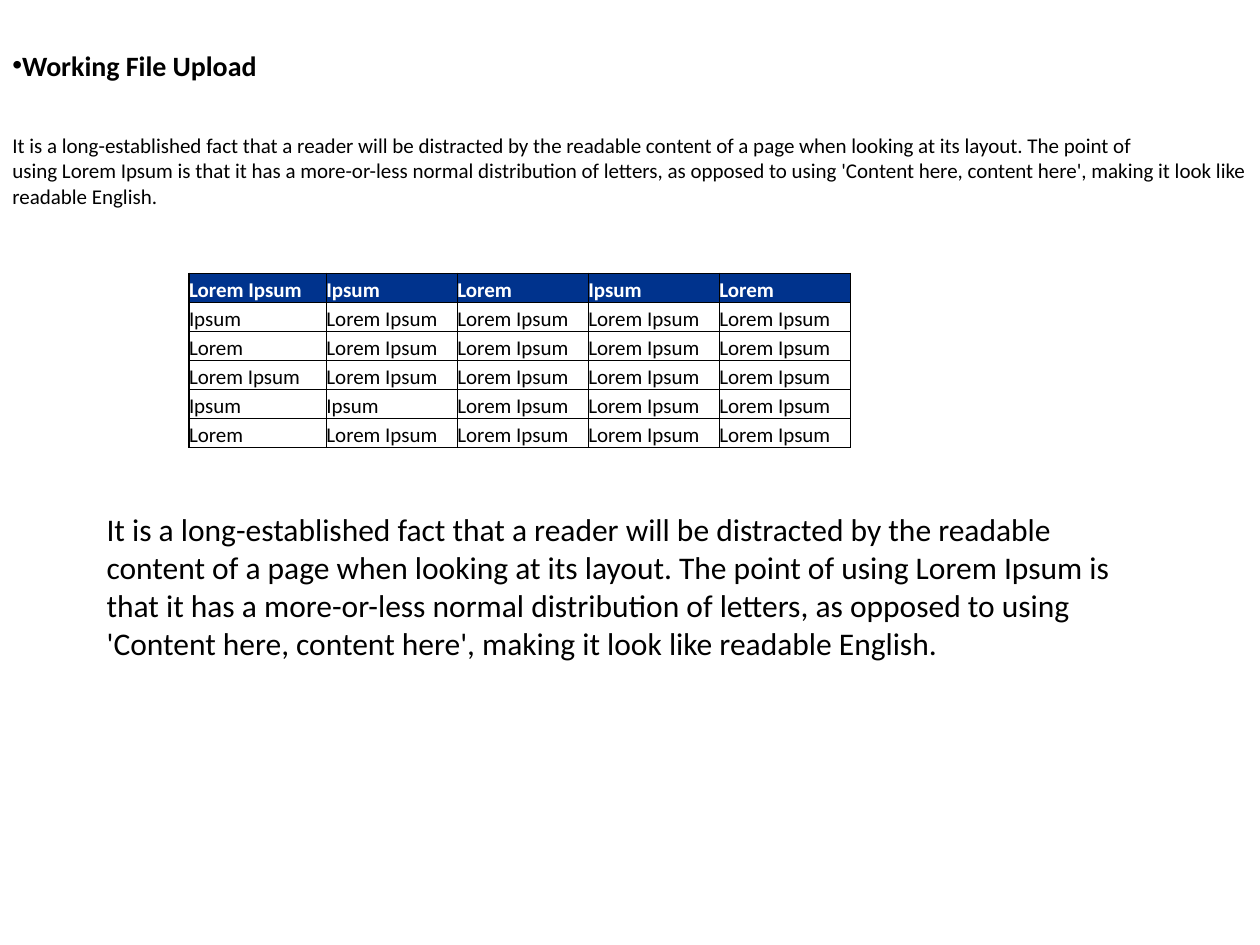
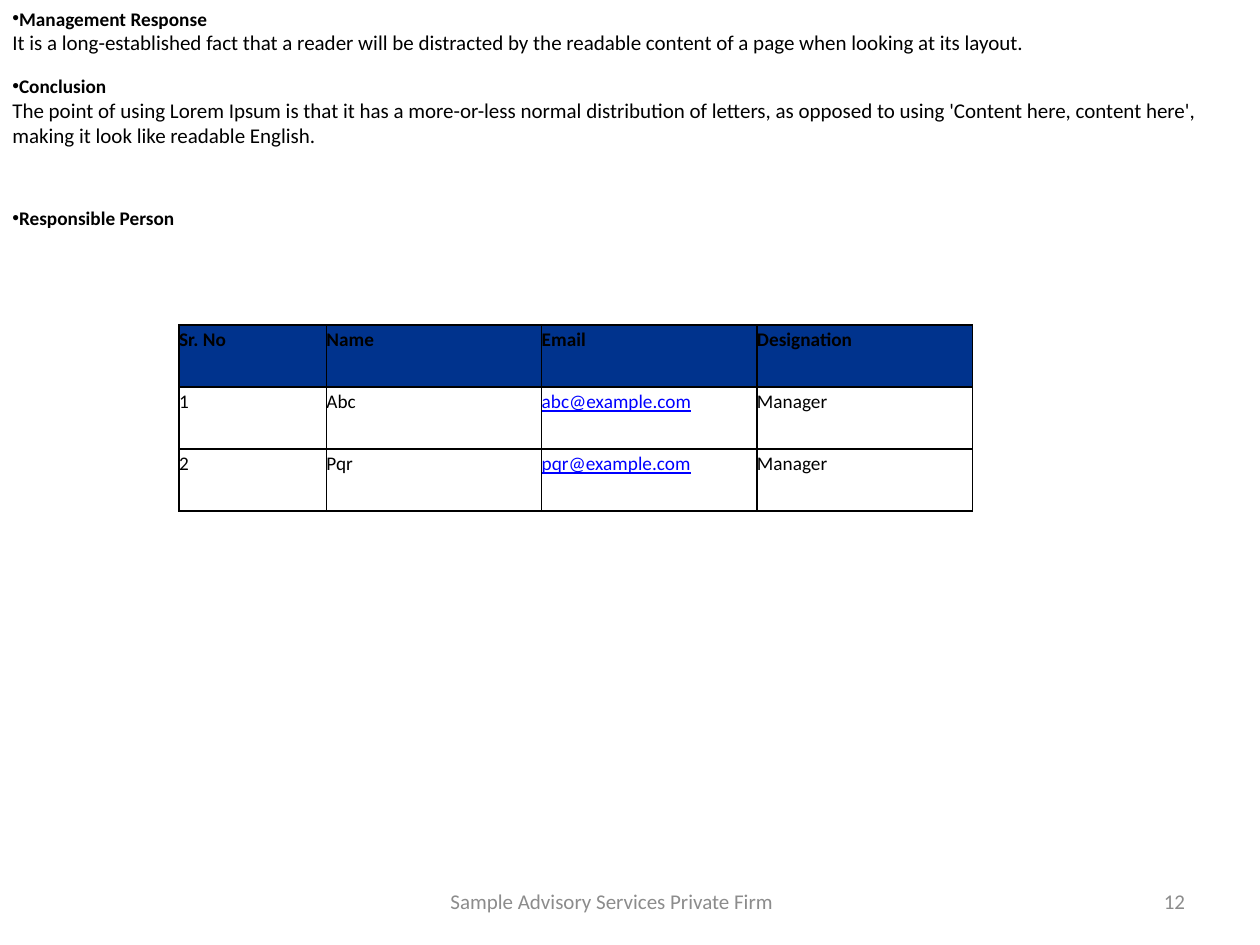
from dataclasses import dataclass

from lxml import etree
from pptx import Presentation
from pptx.dml.color import RGBColor
from pptx.enum.text import MSO_ANCHOR, PP_ALIGN
from pptx.oxml.ns import qn
from pptx.slide import Slide
from pptx.util import Cm, Pt

TOP, MIDDLE = MSO_ANCHOR.TOP, MSO_ANCHOR.MIDDLE
LEFT, CENTER, RIGHT = PP_ALIGN.LEFT, PP_ALIGN.CENTER, PP_ALIGN.RIGHT


@dataclass(frozen=True)
class Theme:
    font: str = "Calibri"
    bullet_font: str = "Arial"
    ink: str = "000000"
    header_fill: str = "00338D"
    header_ink: str = "FFFFFF"
    link: str = "0000FF"
    footer: str = "8C8C8C"
    title_size: int = 16
    large_size: int = 18
    body_size: int = 12
    heading_size: int = 11
    section_gap: int = 11
    cell_spacing: float = 1.15
    border_width: int = 1


THEME = Theme()


@dataclass(frozen=True)
class Line:
    """One paragraph with a single style."""
    text: str
    size: int = THEME.body_size
    bold: bool = False
    color: str = THEME.ink
    underline: bool = False
    bullet: bool = False
    align: PP_ALIGN = LEFT
    gap_before: int = 0


@dataclass(frozen=True)
class Block:
    """A text box; lengths in centimetres."""
    left: float
    top: float
    width: float
    height: float
    lines: tuple[Line, ...]
    anchor: MSO_ANCHOR = MIDDLE
    side_margins: tuple[float, float] = (0.25, 0.25)


@dataclass(frozen=True)
class Grid:
    """A bordered table with a filled header row; lengths in centimetres."""
    left: float
    top: float
    columns: tuple[float, ...]
    row_height: float
    rows: tuple[tuple[str, ...], ...]
    size: int
    header_ink: str


def apply(target: object, values: dict[str, object]) -> None:
    for name, value in values.items():
        setattr(target, name, value)


def write_line(paragraph, line: Line) -> None:
    apply(paragraph, {"alignment": line.align, "space_before": Pt(line.gap_before)})
    run = paragraph.add_run()
    run.text = line.text
    apply(run.font, {"name": THEME.font, "size": Pt(line.size),
                     "bold": line.bold, "underline": line.underline})
    run.font.color.rgb = RGBColor.from_string(line.color)
    if line.bullet:
        properties = paragraph._p.get_or_add_pPr()
        etree.SubElement(properties, qn("a:buFont"), typeface=THEME.bullet_font)
        etree.SubElement(properties, qn("a:buChar"), char="•")


def draw_block(slide: Slide, block: Block) -> None:
    box = slide.shapes.add_textbox(Cm(block.left), Cm(block.top),
                                   Cm(block.width), Cm(block.height))
    frame = box.text_frame
    margin_left, margin_right = block.side_margins
    apply(frame, {"word_wrap": True, "vertical_anchor": block.anchor,
                  "margin_left": Cm(margin_left), "margin_right": Cm(margin_right)})
    for index, line in enumerate(block.lines):
        write_line(frame.add_paragraph() if index else frame.paragraphs[0], line)


def draw_borders(cell) -> None:
    properties = cell._tc.get_or_add_tcPr()
    for position, side in enumerate(("a:lnL", "a:lnR", "a:lnT", "a:lnB")):
        border = etree.Element(qn(side), w=str(Pt(THEME.border_width)))
        fill = etree.SubElement(border, qn("a:solidFill"))
        etree.SubElement(fill, qn("a:srgbClr"), val=THEME.ink)
        properties.insert(position, border)


def draw_grid(slide: Slide, grid: Grid) -> None:
    table = slide.shapes.add_table(
        len(grid.rows), len(grid.columns), Cm(grid.left), Cm(grid.top),
        Cm(sum(grid.columns)), Cm(grid.row_height * len(grid.rows))).table
    table.horz_banding = False
    for column, width in zip(table.columns, grid.columns):
        column.width = Cm(width)
    for row_index, (row, texts) in enumerate(zip(table.rows, grid.rows)):
        row.height = Cm(grid.row_height)
        is_header = row_index == 0
        for cell, text in zip(row.cells, texts):
            apply(cell, {f"margin_{side}": 0 for side in ("left", "right", "top", "bottom")})
            if is_header:
                cell.fill.solid()
                cell.fill.fore_color.rgb = RGBColor.from_string(THEME.header_fill)
            else:
                cell.fill.background()
            is_email = "@" in text
            color = grid.header_ink if is_header else THEME.link if is_email else THEME.ink
            paragraph = cell.text_frame.paragraphs[0]
            paragraph.line_spacing = THEME.cell_spacing
            write_line(paragraph, Line(text, grid.size, is_header, color, is_email))
            draw_borders(cell)


def heading(text: str, size: int = THEME.heading_size, gap_before: int = 0) -> Line:
    return Line(text, size, bold=True, bullet=True, gap_before=gap_before)


def draw_footer(slide: Slide, owner: str, number: str) -> None:
    top, height = 17.65, 1.02
    for left, width, text, align, margins in (
            (8.69, 8.05, owner, CENTER, (0, 0.76)),
            (18.21, 5.93, number, RIGHT, (0.25, 0.25))):
        line = Line(text, color=THEME.footer, align=align)
        draw_block(slide, Block(left, top, width, height, (line,), side_margins=margins))


# Wording; narrow no-break spaces keep some words together
FACT = ("It is a\u202flong-established\u202ffact that a reader will be distracted by the "
        "readable content of a page when looking at its layout.")
POINT = ("The point of using\u202fLorem\u202fIpsum\u202fis that it has a more-or-less normal "
         "distribution of letters, as opposed to using 'Content here, content here', "
         "making it look like readable English.")
LOREM, IPSUM, BOTH = "Lorem", "Ipsum", "Lorem\u202fIpsum"

presentation = Presentation()
apply(presentation, {"slide_width": Cm(25.4), "slide_height": Cm(19.05)})
blank = presentation.slide_layouts[6]

# Slide 1: file upload finding
upload = presentation.slides.add_slide(blank)
draw_block(upload, Block(0, 0.84, 5.72, 0.94,
                         (heading("Working File Upload", THEME.title_size),)))
draw_block(upload, Block(0, 2.54, 25.4, 1.8, (Line(f"{FACT} {POINT}"),)))
draw_grid(upload, Grid(
    3.81, 5.51, (2.77,) + (2.64,) * 4, 0.58,
    ((BOTH, IPSUM, LOREM, IPSUM, LOREM),
     *((label, second, BOTH, BOTH, BOTH) for label, second in (
         (IPSUM, BOTH), (LOREM, BOTH), (BOTH, BOTH), (IPSUM, IPSUM), (LOREM, BOTH)))),
    THEME.body_size, THEME.header_ink))
draw_block(upload, Block(1.9, 10.16, 20.75, 3.33,
                         (Line(f"{FACT} {POINT}", THEME.large_size),), TOP))

# Slide 2: response, conclusion and responsible people
response = presentation.slides.add_slide(blank)
draw_footer(response, "Sample Advisory Services Private Firm", "12")
draw_block(response, Block(0, 0, 25.4, 3.12, (
    heading("Management Response"),
    Line(FACT),
    heading("Conclusion", gap_before=THEME.section_gap),
    Line(POINT))))
draw_grid(response, Grid(
    3.61, 6.55, (2.97,) + (4.34,) * 3, 1.25,
    (("Sr. No", "Name", "Email", "Designation"),
     ("1", "Abc", "abc@example.com", "Manager"),
     ("2", "Pqr", "pqr@example.com", "Manager")),
    THEME.heading_size, THEME.ink))
draw_block(response, Block(0, 4.04, 25.4, 1.27, (heading("Responsible Person"),), TOP))

presentation.save("out.pptx")
